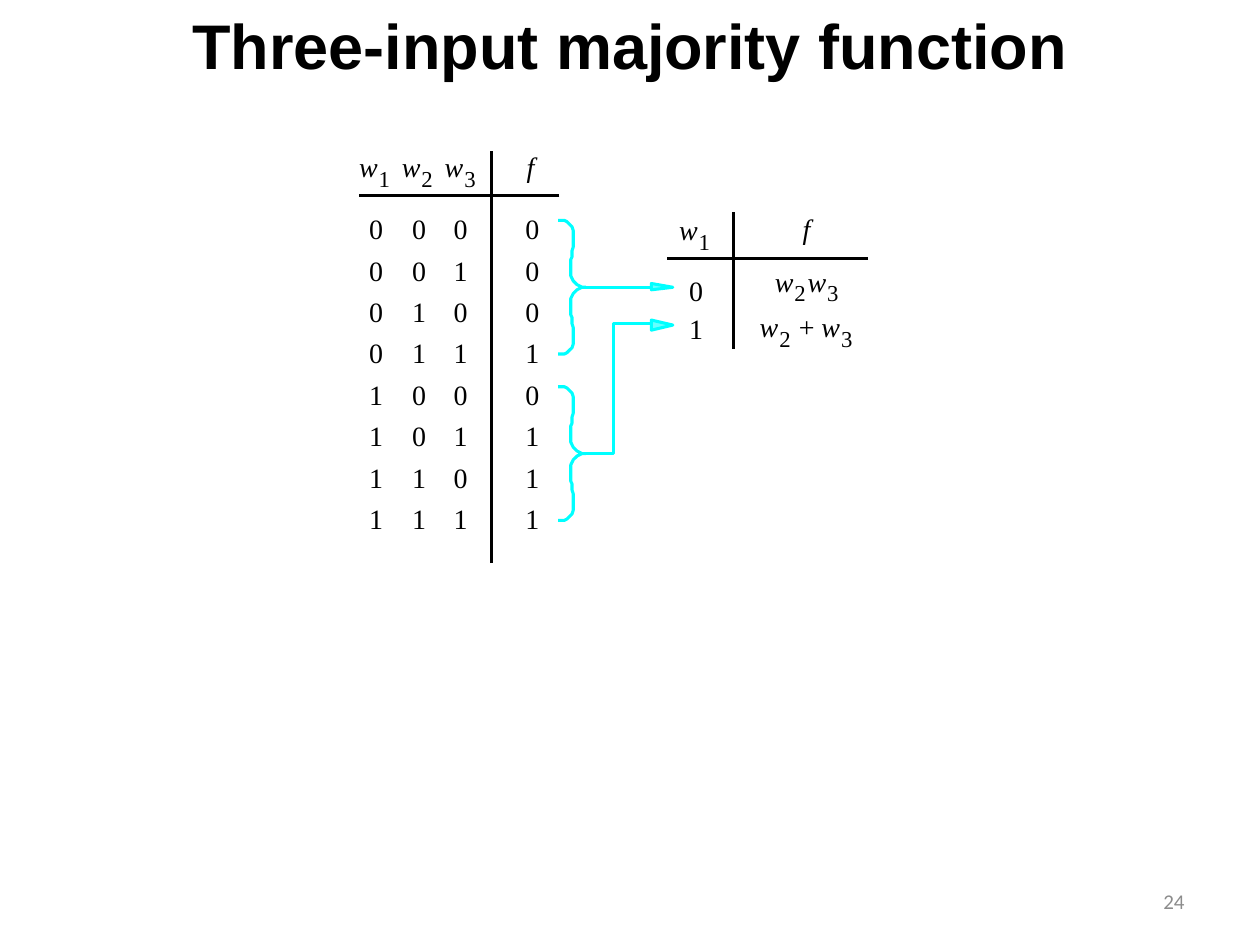
"""Builds the slide on the three-input majority function."""
import itertools

import lxml.etree
import pptx
import pptx.dml.color
import pptx.enum.shapes
import pptx.enum.text
import pptx.oxml.ns
import pptx.util

BLACK = pptx.dml.color.RGBColor(0x00, 0x00, 0x00)
GREY = pptx.dml.color.RGBColor(0x8C, 0x8C, 0x8C)
CYAN = pptx.dml.color.RGBColor(0x00, 0xFF, 0xFF)
PALE_CYAN = pptx.dml.color.RGBColor(0x66, 0xFF, 0xFF)

GRID_COLUMNS, GRID_ROWS = 1000, 750
CELL = 9144

INPUT_COLUMNS = (293, 327, 360)
OUTPUT_COLUMN = 417
FIRST_ROW, ROW_STEP = 168, 32.86
BRACE_HEIGHT = 106
UPPER_HALF_BRACE = (
    (0, 0), (5, 0), (7, 1), (9, 3), (11, 5), (12, 8), (12, 21), (11, 24),
    (11, 29), (10, 31), (10, 44), (11, 46), (12, 48), (15, 51), (17, 52),
    (19, 53), (22, 53),
)


def grid(count):
    """Return the length of a number of grid cells."""
    return pptx.util.Emu(round(count * CELL))


def add_text(slide, text, left, top, width, height, size=16,
             font="Times New Roman", color=BLACK, bold=False, italic=False,
             align=pptx.enum.text.PP_ALIGN.LEFT,
             anchor=pptx.enum.text.MSO_ANCHOR.TOP, inset=0):
    """Place one run of text in a box on the grid."""
    box = slide.shapes.add_textbox(*map(grid, (left, top, width, height)))
    frame = box.text_frame
    frame.word_wrap = True
    frame.vertical_anchor = anchor
    frame.margin_left = frame.margin_right = grid(inset)
    frame.margin_top = frame.margin_bottom = grid(inset / 2)
    paragraph = frame.paragraphs[0]
    paragraph.alignment = align
    run = paragraph.add_run()
    run.text = text
    run.font.size = pptx.util.Pt(size)
    run.font.name = font
    run.font.color.rgb = color
    run.font.bold = bold
    run.font.italic = italic


def add_symbol(slide, text, left, top):
    """Write a digit or an operator."""
    add_text(slide, text, left, top, 18, 27)


def add_variable(slide, name, left, top, index=None):
    """Write an italic variable with an optional lowered index."""
    add_text(slide, name, left, top, 20, 27, italic=True)
    if index is not None:
        add_text(slide, str(index), left + 15.5, top + 11.5, 14, 22, size=13)


def add_rule(slide, start, end, color=BLACK, weight=1.75):
    """Draw a straight line between two grid points."""
    rule = slide.shapes.add_connector(
        pptx.enum.shapes.MSO_CONNECTOR.STRAIGHT, *map(grid, start + end))
    rule.line.color.rgb = color
    rule.line.width = pptx.util.Pt(weight)
    lxml.etree.SubElement(
        rule.element.spPr, pptx.oxml.ns.qn("a:effectLst"))


def add_outline(slide, points, fill=None):
    """Draw a cyan path, closed when it has a fill."""
    builder = slide.shapes.build_freeform(*points[0], scale=CELL)
    builder.add_line_segments(points[1:], close=fill is not None)
    outline = builder.convert_to_shape()
    outline.shadow.inherit = False
    outline.line.color.rgb = CYAN
    outline.line.width = pptx.util.Pt(1.75)
    if fill is None:
        outline.fill.background()
    else:
        outline.fill.solid()
        outline.fill.fore_color.rgb = fill


def add_brace(slide, left, top):
    """Draw a right brace whose lower half mirrors the upper one."""
    lower = [(x, BRACE_HEIGHT - y) for x, y in reversed(UPPER_HALF_BRACE)]
    add_outline(slide, [(left + x, top + y)
                        for x, y in list(UPPER_HALF_BRACE) + lower[1:]])


def add_arrowhead(slide, left, middle, half_height):
    """Draw a slim arrowhead that points right."""
    add_outline(slide, [(left, middle + half_height), (left + 17, middle),
                        (left, middle - half_height)], PALE_CYAN)


def add_truth_table(slide):
    """Write the eight input rows with their majority value."""
    add_rule(slide, (444, 155), (285, 155), weight=0)
    add_rule(slide, (390, 447), (390, 120), weight=0)
    for index, left in enumerate((285, 319, 353), start=1):
        add_variable(slide, "w", left, 119, index)
    add_variable(slide, "f", 418, 119)
    for row, inputs in enumerate(itertools.product((0, 1), repeat=3)):
        values = inputs + (int(sum(inputs) >= 2),)
        for left, value in zip(INPUT_COLUMNS + (OUTPUT_COLUMN,), values):
            add_symbol(slide, str(value), left, FIRST_ROW + row * ROW_STEP)


def add_reduced_table(slide):
    """Write the function as it depends on the first input."""
    add_rule(slide, (689, 205), (529, 205))
    add_rule(slide, (582, 277), (582, 168))
    add_variable(slide, "w", 539, 169, 1)
    add_variable(slide, "f", 637, 168)
    add_symbol(slide, "0", 547, 217)
    add_symbol(slide, "1", 547, 247)
    for left, top, index in ((615, 210, 2), (641, 210, 3),
                             (603, 246, 2), (652, 246, 3)):
        add_variable(slide, "w", left, top, index)
    add_symbol(slide, "+", 634, 246)


def add_links(slide):
    """Lead each half of the truth table to its reduced row."""
    for top in (175, 307):
        add_brace(slide, 443, top)
    add_rule(slide, (517, 228), (464, 228), CYAN)
    add_arrowhead(slide, 517, 227.5, 2.5)
    add_outline(slide, [(517, 257), (487, 257), (487, 360), (464, 360)])
    add_arrowhead(slide, 517, 258, 3.5)


def main():
    """Build and save the slide."""
    deck = pptx.Presentation()
    deck.slide_width = grid(GRID_COLUMNS)
    deck.slide_height = grid(GRID_ROWS)
    slide = deck.slides.add_slide(deck.slide_layouts[6])
    add_truth_table(slide)
    add_links(slide)
    add_reduced_table(slide)
    add_text(slide, "Three-input majority function", 0, 0, GRID_COLUMNS, 83,
             size=36, font="Arial", bold=True, inset=10,
             align=pptx.enum.text.PP_ALIGN.CENTER)
    add_text(slide, "24", 717, 695, 233, 40, size=12, font="Calibri",
             color=GREY, inset=10, align=pptx.enum.text.PP_ALIGN.RIGHT,
             anchor=pptx.enum.text.MSO_ANCHOR.MIDDLE)
    deck.save("out.pptx")


main()
